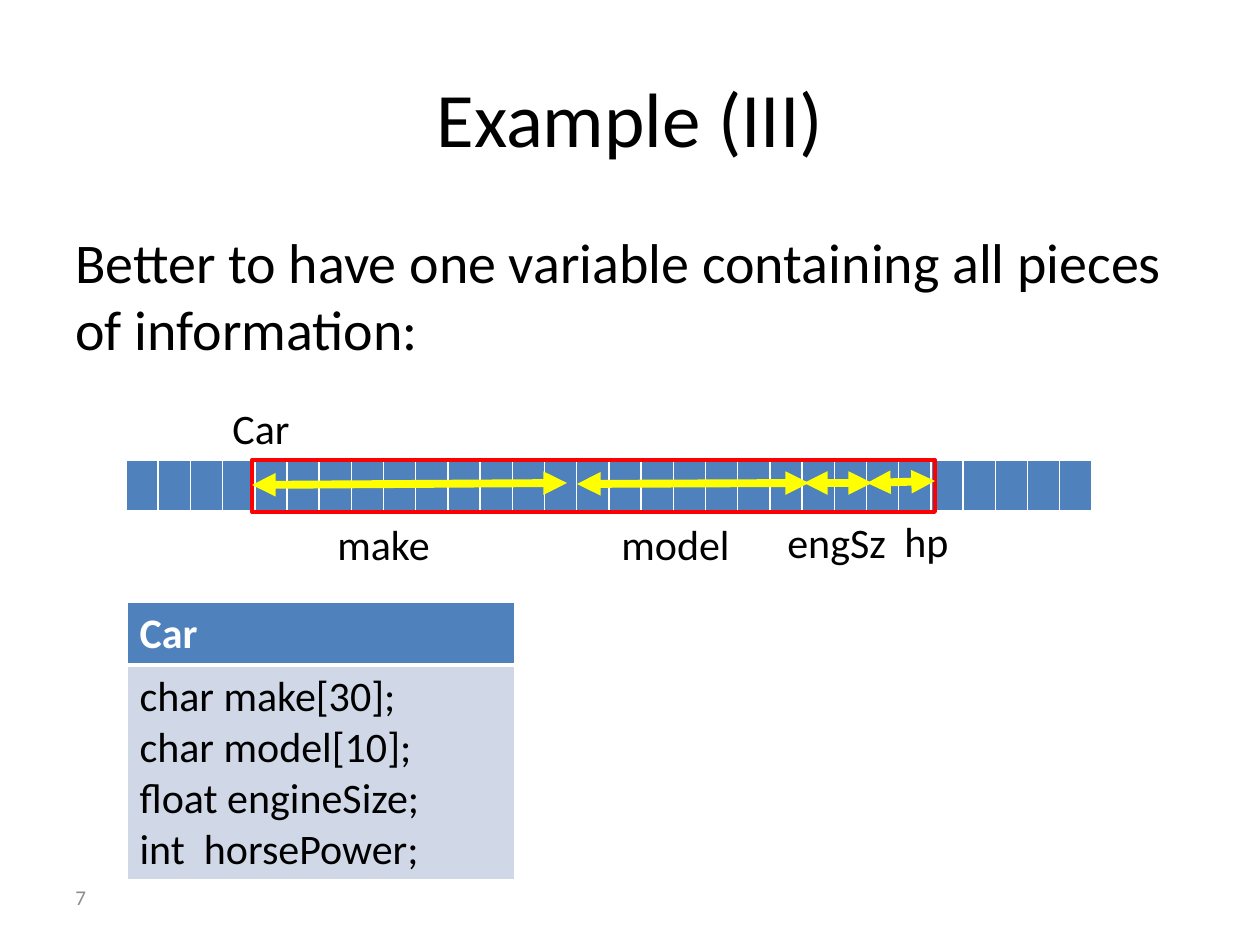
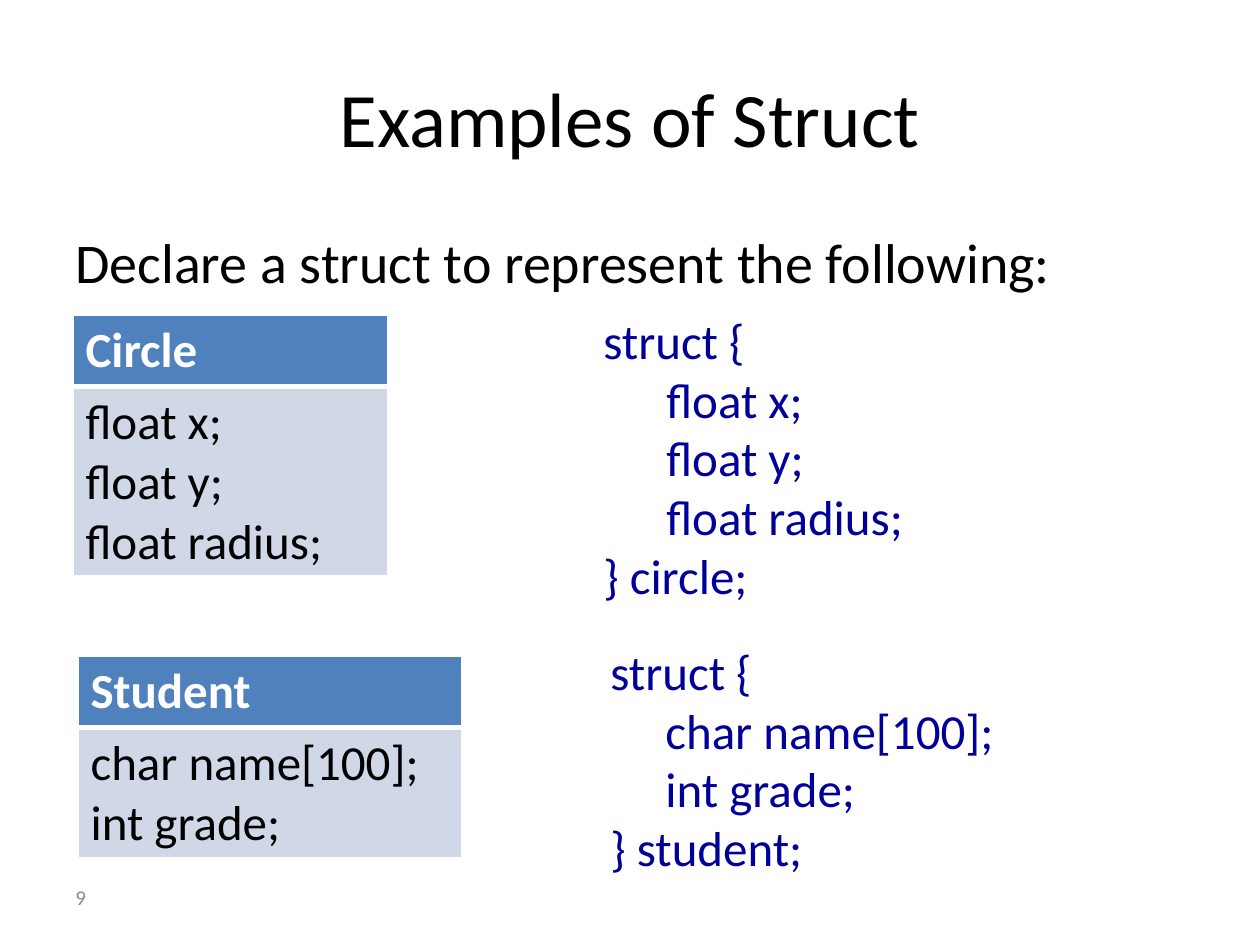
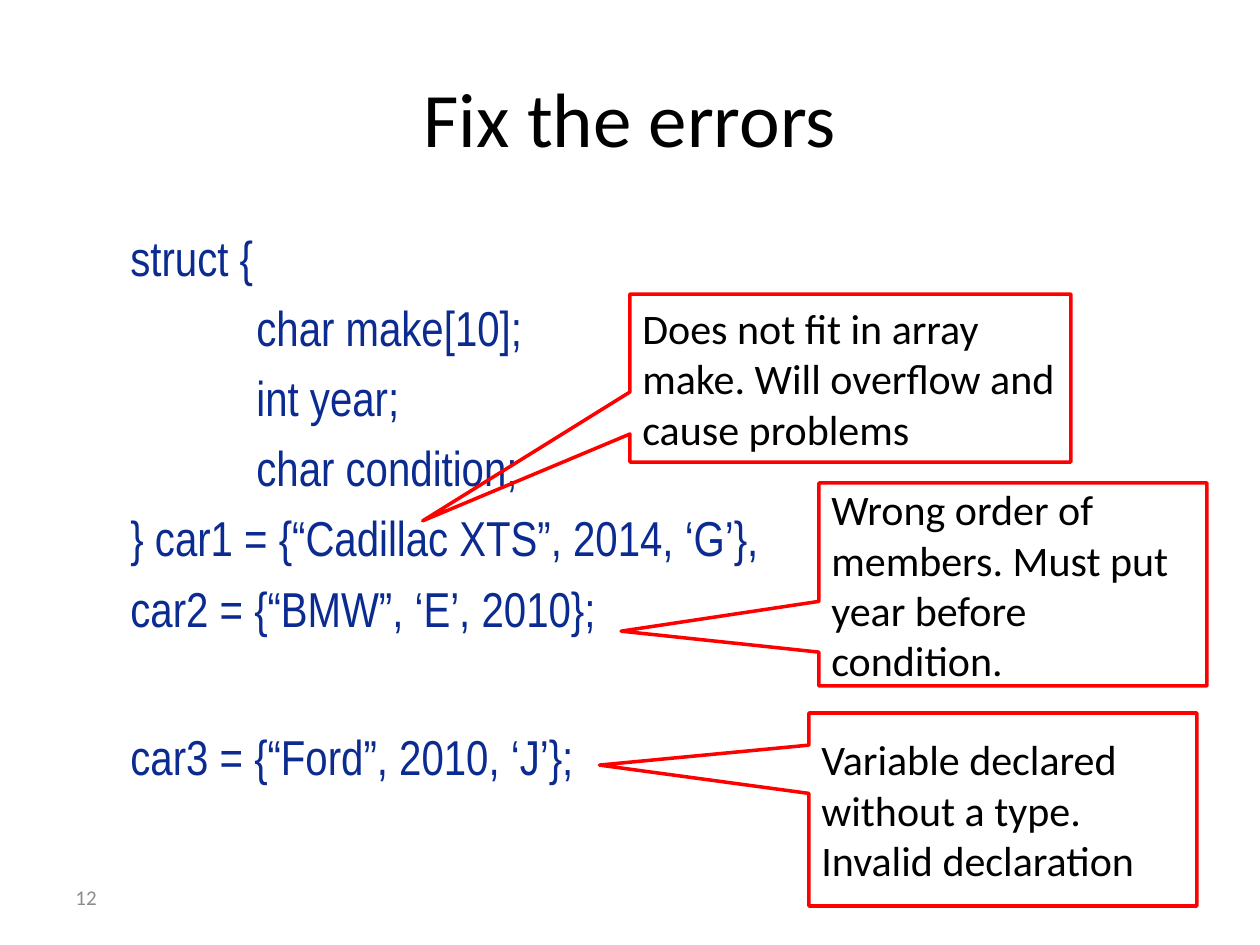
from dataclasses import dataclass

from lxml import etree
from pptx import Presentation
from pptx.dml.color import RGBColor
from pptx.enum.shapes import MSO_CONNECTOR, MSO_SHAPE
from pptx.enum.text import MSO_ANCHOR, PP_ALIGN
from pptx.oxml.ns import qn
from pptx.util import Emu, Pt

RECTANGLE = MSO_SHAPE.RECTANGLE
CALLOUT = MSO_SHAPE.RECTANGULAR_CALLOUT
STRAIGHT = MSO_CONNECTOR.STRAIGHT
TOP, MIDDLE = MSO_ANCHOR.TOP, MSO_ANCHOR.MIDDLE
LEFT, CENTER = PP_ALIGN.LEFT, PP_ALIGN.CENTER
EMU_PER_PX = 914400 / 126
BLANK_LAYOUT = 6


@dataclass(frozen=True)
class Theme:
    font: str = "Calibri"
    code_font: str = "Arial Narrow"
    black: str = "000000"
    white: str = "FFFFFF"
    gray: str = "8C8C8C"
    blue: str = "4F81BD"
    pale_blue: str = "D0D8E8"
    answer: str = "000099"
    code: str = "0B2B91"
    red: str = "FF0000"
    yellow: str = "FFFF00"
    title_size: int = 44
    body_size: int = 32
    code_size: int = 28
    label_size: int = 24
    number_size: int = 12


THEME = Theme()

# Boxes are left, top, width, height in px.
SLIDE_SIZE = (1260, 945)
TITLE_BOX = (63, 38, 1134, 158)
BODY_BOX = (63, 221, 1166, 624)
NUMBER_BOX = (63, 872, 294, 50)
ROW_HEIGHT = 52

MEMORY_BOX = (126, 460, 966, ROW_HEIGHT)
MEMORY_CELLS = 30
CAR_OUTLINE = (252, 460, 683, ROW_HEIGHT)
LABEL_SIZE = (136, 63)
MEMORY_LABELS = [
    ("Car", 220, 396),
    ("make", 325, 512),
    ("model", 609, 512),
    ("engSz", 775, 510),
    ("hp", 892, 509),
]
MEMBER_ARROWS = [
    ((252, 485), (567, 483)),
    ((577, 484), (809, 483)),
    ((867, 483), (935, 481)),
    ((804, 483), (872, 483)),
]
CAR_MEMBERS = ["char make[30];", "char model[10];", "float engineSize;", "int  horsePower;"]

# Name, members, left, top, width of each struct card.
STRUCT_CARDS = [
    ("Circle", ["float x;", "float y;", "float radius;"], 73, 315, 315),
    ("Student", ["char name[100];", "int grade;"], 78, 656, 384),
]
# Members, variable, box, member indent of each declaration.
DECLARATIONS = [
    (["float x;", "float y;", "float radius;"], "circle", (591, 304, 404, 310), 63),
    (["char name[100];", "int grade;"], "student", (598, 635, 525, 251), 55),
]

CODE_INDENT, MEMBER_INDENT = 55, 181
CODE_GAP, CAR3_GAP = 6.5, 51
# Text, indent in px, space before in points.
CODE_LINES = [
    ("struct {", CODE_INDENT, 0),
    ("char make[10];", MEMBER_INDENT, CODE_GAP),
    ("int year;", MEMBER_INDENT, CODE_GAP),
    ("char condition;", MEMBER_INDENT, CODE_GAP),
    ("} car1 = {“Cadillac XTS”, 2014, ‘G’},", CODE_INDENT, CODE_GAP),
    ("car2 = {“BMW”, ‘E’, 2010};", CODE_INDENT, CODE_GAP),
    ("car3 = {“Ford”, 2010, ‘J’};", CODE_INDENT, CAR3_GAP),
]
# Text, box, tip of the pointer.
ERROR_NOTES = [
    ("Does not fit in array make. Will overflow and cause problems",
     (630, 294, 441, 168), (424, 520)),
    ("Wrong order of members. Must put year before condition.",
     (819, 483, 388, 203), (620, 631)),
    ("Variable declared without a type. Invalid declaration",
     (809, 713, 388, 193), (600, 765)),
]


def px(length):
    return Emu(round(length * EMU_PER_PX))


def scaled(box):
    return [px(length) for length in box]


def rgb(color):
    return RGBColor.from_string(color)


def write(frame, lines, size, color=THEME.black, font=THEME.font, bold=False,
          align=LEFT, anchor=TOP):
    """Fill a text frame with lines: plain text or (text, indent px, space before pt)."""
    frame.word_wrap = True
    frame.vertical_anchor = anchor
    for index, line in enumerate(lines):
        text, indent, gap = (line, 0, 0) if isinstance(line, str) else line
        paragraph = frame.add_paragraph() if index else frame.paragraphs[0]
        paragraph.text = text
        paragraph.alignment = align
        if indent:
            paragraph._p.get_or_add_pPr().set("marL", str(px(indent)))
        if gap:
            paragraph.space_before = Pt(gap)
        paragraph.font.name = font
        paragraph.font.size = Pt(size)
        paragraph.font.bold = bold
        paragraph.font.color.rgb = rgb(color)


def add_text(slide, box, lines, size, **style):
    write(slide.shapes.add_textbox(*scaled(box)).text_frame, lines, size, **style)


def add_outline(slide, preset, box, width):
    shape = slide.shapes.add_shape(preset, *scaled(box))
    shape.shadow.inherit = False
    shape.fill.background()
    shape.line.color.rgb = rgb(THEME.red)
    shape.line.width = Pt(width)
    return shape


def add_error_note(slide, text, box, tip):
    shape = add_outline(slide, CALLOUT, box, 2)
    left, top, width, height = box
    shape.adjustments[0] = round((tip[0] - left) / width - 0.5, 2)
    shape.adjustments[1] = round((tip[1] - top) / height - 0.5, 2)
    write(shape.text_frame, [text], THEME.label_size, anchor=MIDDLE)


def add_double_arrow(slide, start, end):
    connector = slide.shapes.add_connector(STRAIGHT, *scaled(start + end))
    connector.line.color.rgb = rgb(THEME.yellow)
    connector.line.width = Pt(4.5)
    line = connector.line._get_or_add_ln()
    for tag in ("a:headEnd", "a:tailEnd"):
        etree.SubElement(line, qn(tag), type="triangle")
    etree.SubElement(connector._element.spPr, qn("a:effectLst"))


def paint_cell(cell, fill, top=1, bottom=1):
    """Fill a cell and draw its white borders; widths are in points."""
    cell.fill.solid()
    cell.fill.fore_color.rgb = rgb(fill)
    properties = cell._tc.get_or_add_tcPr()
    borders = [("a:lnL", 1), ("a:lnR", 1), ("a:lnT", top), ("a:lnB", bottom)]
    for index, (tag, width) in enumerate(borders):
        border = etree.Element(qn(tag), w=str(Pt(width)))
        solid = etree.SubElement(border, qn("a:solidFill"))
        etree.SubElement(solid, qn("a:srgbClr"), val=THEME.white)
        properties.insert(index, border)


def add_table(slide, rows, columns, box):
    table = slide.shapes.add_table(rows, columns, *scaled(box)).table
    table.horz_banding = False
    return table


def add_struct_card(slide, name, members, left, top, width, size):
    table = add_table(slide, 2, 1, (left, top, width, 2 * ROW_HEIGHT))
    header, body = table.cell(0, 0), table.cell(1, 0)
    paint_cell(header, THEME.blue, bottom=3)
    paint_cell(body, THEME.pale_blue, top=3)
    write(header.text_frame, [name], size, color=THEME.white, bold=True)
    write(body.text_frame, members, size)


def add_slide(presentation, title, number):
    slide = presentation.slides.add_slide(presentation.slide_layouts[BLANK_LAYOUT])
    add_text(slide, TITLE_BOX, [title], THEME.title_size, align=CENTER, anchor=MIDDLE)
    add_text(slide, NUMBER_BOX, [number], THEME.number_size, color=THEME.gray, anchor=MIDDLE)
    return slide


def build_memory_slide(presentation):
    slide = add_slide(presentation, "Example (III)", "7")
    add_text(slide, BODY_BOX,
             ["Better to have one variable containing all pieces of information:"],
             THEME.body_size)
    memory = add_table(slide, 1, MEMORY_CELLS, MEMORY_BOX)
    for cell in memory.iter_cells():
        paint_cell(cell, THEME.blue, bottom=3)
    add_outline(slide, RECTANGLE, CAR_OUTLINE, 2.25)
    for start, end in MEMBER_ARROWS:
        add_double_arrow(slide, start, end)
    for label, left, top in MEMORY_LABELS:
        add_text(slide, (left, top, *LABEL_SIZE), [label], THEME.label_size)
    add_struct_card(slide, "Car", CAR_MEMBERS, 127, 602, 388, THEME.label_size)


def build_struct_slide(presentation):
    slide = add_slide(presentation, "Examples of Struct", "9")
    add_text(slide, BODY_BOX, ["Declare a struct to represent the following:"],
             THEME.body_size)
    for card in STRUCT_CARDS:
        add_struct_card(slide, *card, THEME.code_size)
    for members, variable, box, indent in DECLARATIONS:
        indented = [(member, indent, 0) for member in members]
        add_text(slide, box, ["struct {", *indented, f"}} {variable};"],
                 THEME.code_size, color=THEME.answer)


def build_errors_slide(presentation):
    slide = add_slide(presentation, "Fix the errors", "12")
    add_text(slide, BODY_BOX, CODE_LINES, THEME.code_size,
             color=THEME.code, font=THEME.code_font)
    for note in ERROR_NOTES:
        add_error_note(slide, *note)


def main():
    presentation = Presentation()
    presentation.slide_width, presentation.slide_height = scaled(SLIDE_SIZE)
    build_memory_slide(presentation)
    build_struct_slide(presentation)
    build_errors_slide(presentation)
    presentation.save("out.pptx")


if __name__ == "__main__":
    main()
